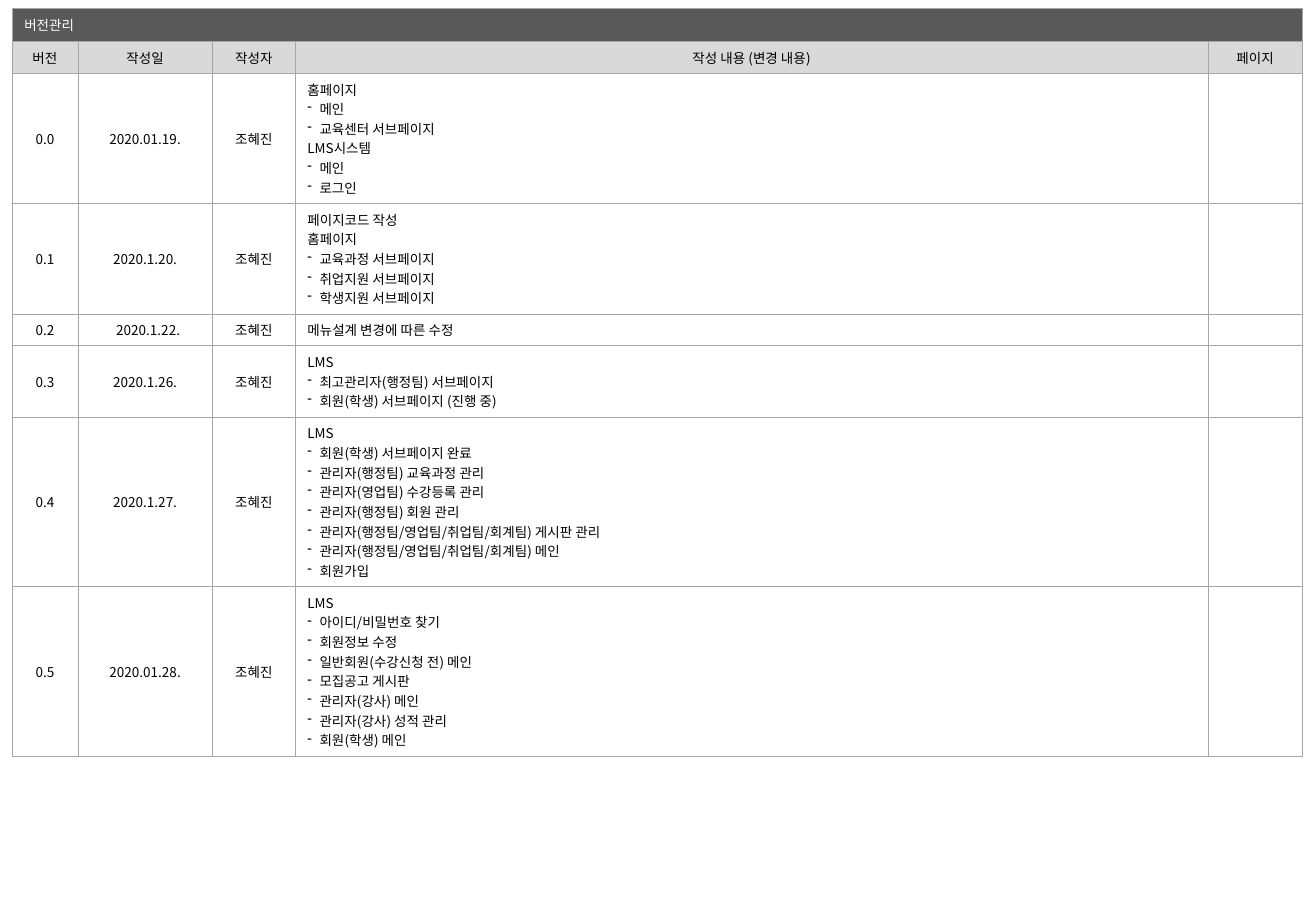
from dataclasses import dataclass

from lxml import etree
from pptx import Presentation
from pptx import util as u
from pptx.dml import color
from pptx.enum import text
from pptx.oxml import ns
from pptx.table import _Cell

FONT = "Noto Sans CJK KR"
FONT_SIZE = u.Pt(8)
COLORS = {
    "title": "595959",
    "header": "D9D9D9",
    "body": "FFFFFF",
    "border": "A6A6A6",
    "light_text": "FFFFFF",
    "dark_text": "000000",
}
COLUMN_WIDTHS = [0.54, 1.11, 0.68, 7.51, 0.78]
HEADERS = ["버전", "작성일", "작성자", "작성 내용 (변경 내용)", "페이지"]
AUTHOR = "조혜진"
CONTENT_COLUMN = 3
TITLE_HEIGHT = 0.27
LINE_HEIGHT = 0.162
CELL_PADDING = 0.1
BULLET = "- "
BULLET_INDENT = u.Inches(0.1)


@dataclass
class Revision:
    """One entry of the version history."""

    version: str
    date: str
    changes: list[str]
    date_margin: float = 0.1


REVISIONS = [
    Revision("0.0", "2020.01.19.", [
        "홈페이지", "- 메인", "- 교육센터 서브페이지",
        "LMS시스템", "- 메인", "- 로그인",
    ]),
    Revision("0.1", "2020.1.20.", [
        "페이지코드 작성", "홈페이지", "- 교육과정 서브페이지",
        "- 취업지원 서브페이지", "- 학생지원 서브페이지",
    ]),
    Revision("0.2", "2020.1.22.", ["메뉴설계 변경에 따른 수정"], date_margin=0.15),
    Revision("0.3", "2020.1.26.", [
        "LMS", "- 최고관리자(행정팀) 서브페이지",
        "- 회원(학생) 서브페이지 (진행 중)",
    ]),
    Revision("0.4", "2020.1.27.", [
        "LMS", "- 회원(학생) 서브페이지 완료",
        "- 관리자(행정팀) 교육과정 관리", "- 관리자(영업팀) 수강등록 관리",
        "- 관리자(행정팀) 회원 관리",
        "- 관리자(행정팀/영업팀/취업팀/회계팀) 게시판 관리",
        "- 관리자(행정팀/영업팀/취업팀/회계팀) 메인", "- 회원가입",
    ]),
    Revision("0.5", "2020.01.28.", [
        "LMS", "- 아이디/비밀번호 찾기", "- 회원정보 수정",
        "- 일반회원(수강신청 전) 메인", "- 모집공고 게시판",
        "- 관리자(강사) 메인", "- 관리자(강사) 성적 관리", "- 회원(학생) 메인",
    ]),
]


def row_height(line_count: int) -> float:
    """Return the height in inches of a row with the given number of lines."""
    return CELL_PADDING + line_count * LINE_HEIGHT


def add_borders(cell: _Cell) -> None:
    """Draw a thin line on all four sides of a cell."""
    properties = cell._tc.get_or_add_tcPr()
    for position, side in enumerate(("lnL", "lnR", "lnT", "lnB")):
        line = etree.Element(ns.qn(f"a:{side}"), w=str(u.Pt(0.25)))
        fill = etree.SubElement(line, ns.qn("a:solidFill"))
        etree.SubElement(fill, ns.qn("a:srgbClr"), val=COLORS["border"])
        properties.insert(position, line)


def add_bullet(paragraph) -> None:
    """Give a paragraph a hanging dash bullet."""
    properties = paragraph._p.get_or_add_pPr()
    properties.set("marL", str(BULLET_INDENT))
    properties.set("indent", str(-BULLET_INDENT))
    etree.SubElement(properties, ns.qn("a:buChar"), char=BULLET.strip())


def write_cell(cell: _Cell, lines: list[str], fill: str,
               font_color: str = "dark_text", centered: bool = True) -> None:
    """Fill, border and write one table cell."""
    cell.fill.solid()
    cell.fill.fore_color.rgb = color.RGBColor.from_string(COLORS[fill])
    add_borders(cell)
    cell.vertical_anchor = text.MSO_ANCHOR.MIDDLE
    frame = cell.text_frame
    if not lines:
        etree.SubElement(frame.paragraphs[0]._p, ns.qn("a:endParaRPr"),
                         sz=str(FONT_SIZE.centipoints))
    for index, line in enumerate(lines):
        paragraph = frame.add_paragraph() if index else frame.paragraphs[0]
        paragraph.alignment = text.PP_ALIGN.CENTER if centered else text.PP_ALIGN.LEFT
        if line.startswith(BULLET):
            add_bullet(paragraph)
        run = paragraph.add_run()
        run.text = line.removeprefix(BULLET)
        run.font.size = FONT_SIZE
        run.font.name = FONT
        run.font.color.rgb = color.RGBColor.from_string(COLORS[font_color])
        etree.SubElement(run._r.get_or_add_rPr(), ns.qn("a:ea"), typeface=FONT)


def add_version_table(slide) -> None:
    """Build the version history table."""
    heights = [TITLE_HEIGHT, row_height(1)]
    heights += [row_height(len(revision.changes)) for revision in REVISIONS]
    table = slide.shapes.add_table(
        len(heights), len(COLUMN_WIDTHS), u.Inches(0.1), u.Inches(0.07),
        u.Inches(sum(COLUMN_WIDTHS)), u.Inches(sum(heights))).table
    table.first_row = table.horz_banding = False
    for column, width in zip(table.columns, COLUMN_WIDTHS):
        column.width = u.Inches(width)
    for row, height in zip(table.rows, heights):
        row.height = u.Inches(height)

    title = table.cell(0, 0)
    title.merge(table.cell(0, len(COLUMN_WIDTHS) - 1))
    write_cell(title, ["버전관리"], "title", "light_text", centered=False)
    for column, header in enumerate(HEADERS):
        write_cell(table.cell(1, column), [header], "header")
    for row, revision in enumerate(REVISIONS, start=2):
        contents = [[revision.version], [revision.date], [AUTHOR], revision.changes, []]
        for column, lines in enumerate(contents):
            write_cell(table.cell(row, column), lines, "body",
                       centered=column != CONTENT_COLUMN)
        table.cell(row, 1).margin_left = u.Inches(revision.date_margin)


def main() -> None:
    """Create the presentation with the version history slide."""
    presentation = Presentation()
    presentation.slide_width = u.Inches(10.83)
    presentation.slide_height = u.Inches(7.5)
    slide = presentation.slides.add_slide(presentation.slide_layouts[6])
    add_version_table(slide)
    presentation.save("out.pptx")


main()
